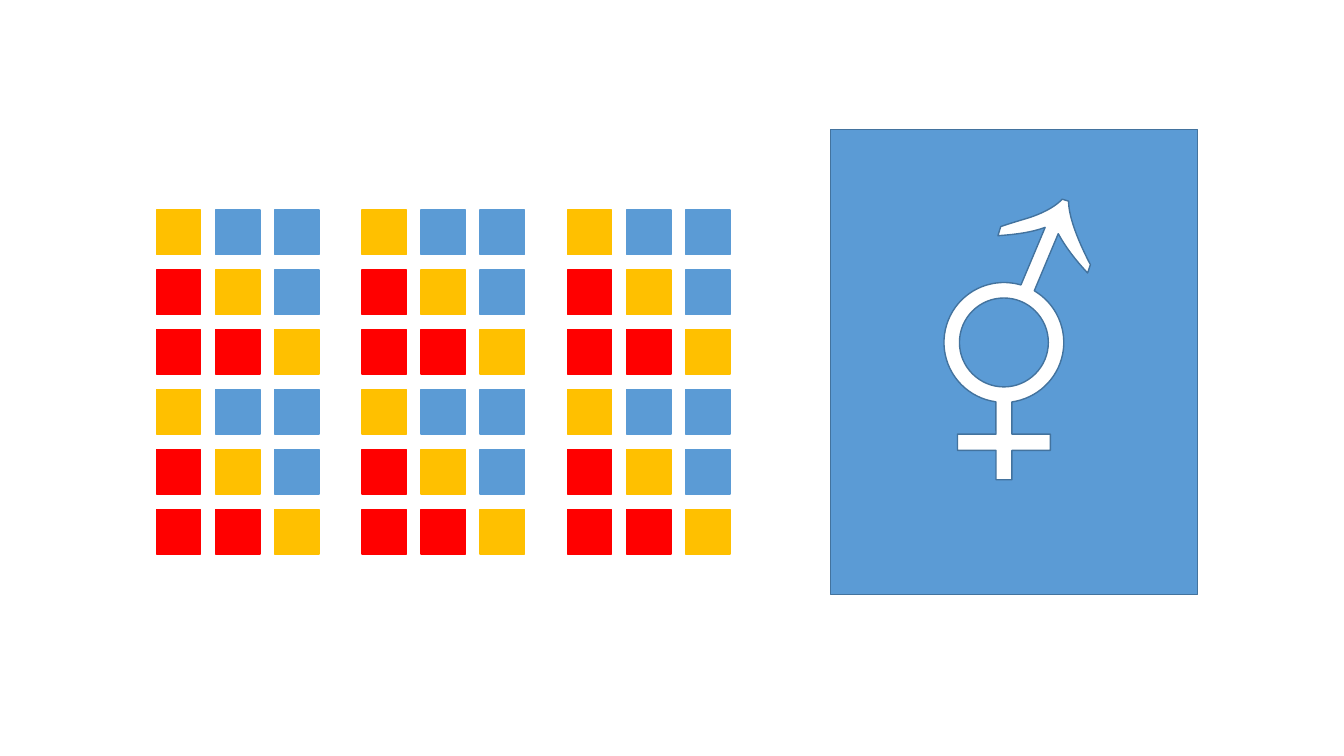
from math import cos, radians, sin, tan

from lxml import etree
from pptx import Presentation
from pptx.dml.color import RGBColor
from pptx.enum.shapes import MSO_SHAPE
from pptx.oxml.ns import qn
from pptx.util import Cm, Pt

RECTANGLE = MSO_SHAPE.RECTANGLE
BLUE, GOLD, RED, OUTLINE = "5B9BD5", "FFC000", "FF0000", "43739E"

SQUARE = 1.12
GRID_LEFT, GRID_TOP = 3.94, 5.29
COLUMN_STEP, ROW_STEP = 1.49, 1.51
BLOCK_STEP = 5.18
BLOCK_SIZE, BLOCK_COLUMNS, BLOCK_ROWS = 3, 3, 2

CARD_LEFT, CARD_TOP, CARD_RIGHT, CARD_BOTTOM = 20.93, 3.26, 30.18, 14.98
CENTER_X, CENTER_Y = 25.3, 8.63
INNER_RADIUS, OUTER_RADIUS = 1.12, 1.51


def paint(shape, fill, line):
    shape.shadow.inherit = False
    shape.fill.solid()
    shape.fill.fore_color.rgb = RGBColor.from_string(fill)
    shape.line.color.rgb = RGBColor.from_string(line)
    shape.line.width = Pt(1)


def square_color(row, column):
    if row == column:
        return GOLD
    return RED if row > column else BLUE


def add_block(slide, left, top):
    block = slide.shapes.add_group_shape()
    for row in range(BLOCK_SIZE):
        for column in range(BLOCK_SIZE):
            square = block.shapes.add_shape(
                RECTANGLE,
                Cm(left + column * COLUMN_STEP), Cm(top + row * ROW_STEP),
                Cm(SQUARE), Cm(SQUARE))
            color = square_color(row, column)
            paint(square, color, color)


def lines(*points):
    return [[point] for point in points]


def arc(radius, start, end, count):
    step = radians(end - start) / count
    reach = 4 / 3 * tan(step / 4)
    curves = []
    for i in range(count):
        a = radians(start) + i * step
        b = a + step
        curves.append([
            (radius * (cos(a) - reach * sin(a)), radius * (sin(a) + reach * cos(a))),
            (radius * (cos(b) + reach * sin(b)), radius * (sin(b) - reach * cos(b))),
            (radius * cos(b), radius * sin(b))])
    return curves


def symbol_outline():
    cross_left = [(-0.2, 2.31), (-1.17, 2.31), (-1.17, 2.72), (-0.2, 2.72), (-0.2, 3.46)]
    cross_right = [(-x, y) for x, y in reversed(cross_left)]
    return [
        [(1.32, -3.45), (1.07, -3.3), (0.74, -3.18)],
        [(0.58, -3.12), (0.3, -3.05), (-0.08, -2.92)],
        *lines((-0.15, -2.69)),
        [(0.28, -2.72), (0.69, -2.77), (1.04, -2.9)],
        *lines((0.43, -1.45)),
        *arc(OUTER_RADIUS, -73.5, -262.3, 5),
        *lines(*cross_left, *cross_right, (0.2, 1.5)),
        *arc(OUTER_RADIUS, 82.3, -59.5, 4),
        *lines((1.37, -2.74)),
        [(1.55, -2.41), (1.8, -2.08), (2.11, -1.75)],
        *lines((2.18, -1.96)),
        [(1.8, -2.69), (1.63, -3.23), (1.63, -3.56)]]


def card_outline():
    left, right = CARD_LEFT - CENTER_X, CARD_RIGHT - CENTER_X
    top, bottom = CARD_TOP - CENTER_Y, CARD_BOTTOM - CENTER_Y
    return (left, top), lines((right, top), (right, bottom), (left, bottom))


def from_center(point):
    return Cm(CENTER_X + point[0]), Cm(CENTER_Y + point[1])


def bend(shape, segments):
    corners = iter(list(shape.element.iter(qn("a:lnTo"))))
    for segment in segments:
        steps = [next(corners) for _ in segment]
        if len(steps) == 1:
            continue
        curve = etree.Element(qn("a:cubicBezTo"))
        steps[0].addprevious(curve)
        for step in steps:
            curve.append(step[0])
            step.getparent().remove(step)


def add_symbol_card(slide):
    contours = [
        ((0, -INNER_RADIUS), arc(INNER_RADIUS, -90, 270, 8)),
        ((1.47, -3.61), symbol_outline()),
        card_outline()]
    builder = slide.shapes.build_freeform(*from_center(contours[0][0]))
    for index, (start, segments) in enumerate(contours):
        if index:
            builder.move_to(*from_center(start))
        builder.add_line_segments(
            [from_center(point) for segment in segments for point in segment], close=True)
    card = builder.convert_to_shape()
    bend(card, [segment for _, segments in contours for segment in segments])
    paint(card, BLUE, OUTLINE)


def main():
    presentation = Presentation()
    presentation.slide_width = Cm(33.87)
    presentation.slide_height = Cm(19.05)
    slide = presentation.slides.add_slide(presentation.slide_layouts[6])
    for block_row in range(BLOCK_ROWS):
        for block_column in range(BLOCK_COLUMNS):
            add_block(slide, GRID_LEFT + block_column * BLOCK_STEP,
                      GRID_TOP + block_row * BLOCK_SIZE * ROW_STEP)
    add_symbol_card(slide)
    presentation.save("out.pptx")


if __name__ == "__main__":
    main()
